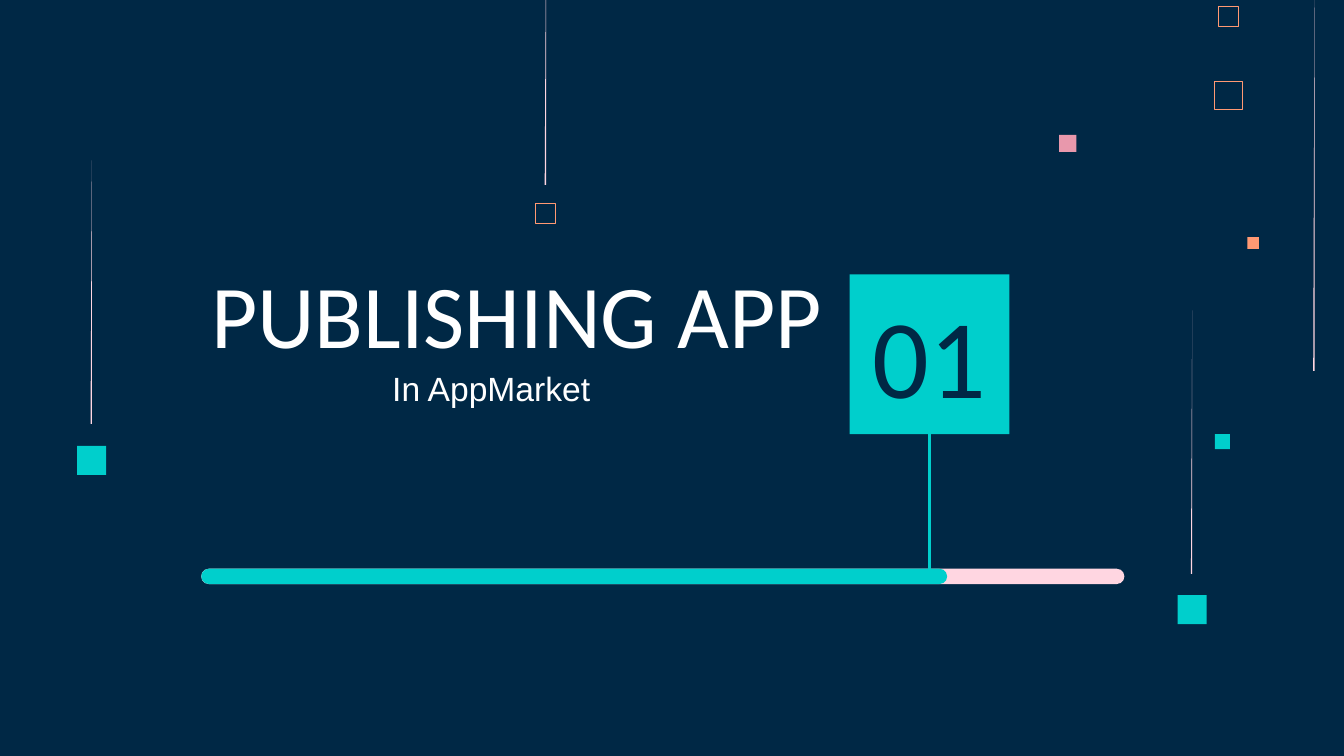
"""Build the section slide that opens the chapter on publishing an app."""
from dataclasses import dataclass

from lxml import etree
from pptx import Presentation
from pptx.dml.color import RGBColor
from pptx.enum.shapes import MSO_CONNECTOR, MSO_SHAPE
from pptx.enum.text import MSO_ANCHOR, MSO_AUTO_SIZE, PP_ALIGN
from pptx.oxml.ns import qn
from pptx.util import Pt

RECT = MSO_SHAPE.RECTANGLE
ROUNDED = MSO_SHAPE.ROUNDED_RECTANGLE
STRAIGHT = MSO_CONNECTOR.STRAIGHT
TOP, MIDDLE, BOTTOM = MSO_ANCHOR.TOP, MSO_ANCHOR.MIDDLE, MSO_ANCHOR.BOTTOM
NO_AUTOFIT = MSO_AUTO_SIZE.NONE
CENTER = PP_ALIGN.CENTER


@dataclass(frozen=True)
class Theme:
    """Colours, fonts and type sizes of the slide."""
    navy: str = "002845"
    teal: str = "00CFCC"
    orange: str = "FF9973"
    rose: str = "E898AC"
    pale_pink: str = "FFD6E1"
    white: str = "FFFFFF"
    heading_font: str = "Calibri"
    body_font: str = "Arial"
    number_size: float = 60
    title_size: float = 48
    subtitle_size: float = 18


@dataclass(frozen=True)
class Box:
    """A rectangle in points."""
    left: float
    top: float
    width: float
    height: float

    def emu(self):
        """Return the four lengths for python-pptx."""
        return Pt(self.left), Pt(self.top), Pt(self.width), Pt(self.height)


@dataclass(frozen=True)
class Square:
    """A decorative square, filled or, given a line width, outlined."""
    left: float
    top: float
    side: float
    color: str
    line_width: float = 0


@dataclass(frozen=True)
class Streak:
    """A thin vertical sliver that narrows to a point at its top."""
    left: float
    top: float
    height: float
    width: float = 0.7


T = Theme()
SLIDE_WIDTH, SLIDE_HEIGHT = 720, 405
TITLE_BOX = Box(88.6, 137.5, 376.6, 66.2)
SUBTITLE_BOX = Box(141.1, 190.1, 244.1, 82.8)
BADGE_BOX = Box(455.2, 147, 85.6, 85.6)
NUMBER_BOX = Box(459.4, 167, 77, 45.4)
TRACK_BOX = Box(107.8, 304.7, 494.6, 8.2)
PROGRESS_BOX = Box(107.8, 304.7, 399.6, 8.2)
STEM_BOTTOM = 309.6

SQUARES = [
    Square(567.4, 72.2, 9.2, T.rose),
    Square(650.9, 232.6, 8, T.teal),
    Square(650.6, 43.9, 14.8, T.orange, 0.45),
    Square(652.8, 3.4, 10.6, T.orange, 0.32),
    Square(668.2, 127.1, 6.3, T.orange),
    Square(287, 108.9, 10.6, T.orange, 0.32),
    Square(630.9, 318.9, 15.6, T.teal),
    Square(41.3, 238.9, 15.6, T.teal),
]
STREAKS = [
    Streak(291.8, -34.6, 133.6),
    Streak(703.5, 0, 198.7),
    Streak(638, 166.3, 141.2),
    Streak(48.5, 85.9, 141.2),
]


def paint(sp, fill: str = "", line: str = "", line_width: float = 0) -> None:
    """Set the fill and outline of a shape and drop its shadow."""
    sp.shadow.inherit = False
    if fill:
        sp.fill.solid()
        sp.fill.fore_color.rgb = RGBColor.from_string(fill)
    else:
        sp.fill.background()
    if line:
        sp.line.color.rgb = RGBColor.from_string(line)
        sp.line.width = Pt(line_width)
    else:
        sp.line.fill.background()


def add_box(s, box: Box, preset=RECT, **style):
    """Add a painted preset shape."""
    sp = s.shapes.add_shape(preset, *box.emu())
    paint(sp, **style)
    return sp


def add_square(s, sq: Square) -> None:
    """Add one decorative square."""
    box = Box(sq.left, sq.top, sq.side, sq.side)
    if sq.line_width:
        add_box(s, box, line=sq.color, line_width=sq.line_width)
    else:
        add_box(s, box, fill=sq.color)


def add_streak(s, streak: Streak) -> None:
    """Add one tapering vertical streak."""
    right, bottom = streak.left + streak.width, streak.top + streak.height
    builder = s.shapes.build_freeform(Pt(right), Pt(streak.top))
    builder.add_line_segments([(Pt(streak.left), Pt(bottom)), (Pt(right), Pt(bottom))])
    paint(builder.convert_to_shape(), fill=T.pale_pink)


def add_bar(s, box: Box, color: str) -> None:
    """Add a bar with fully rounded ends."""
    add_box(s, box, ROUNDED, fill=color).adjustments[0] = 0.5


def add_stem(s, badge) -> None:
    """Add the line from the badge down to the progress bar."""
    x = Pt(BADGE_BOX.left + BADGE_BOX.width / 2)
    line = s.shapes.add_connector(STRAIGHT, x, badge.top + badge.height, x, Pt(STEM_BOTTOM))
    line.begin_connect(badge, 2)
    line.line.color.rgb = RGBColor.from_string(T.teal)
    line.line.width = Pt(1.5)
    etree.SubElement(line._element.spPr, qn("a:effectLst"))


def write_text(sp, text: str, *, box: Box, font: str, size: float, color: str, anchor) -> None:
    """Place a text shape and write one centred paragraph in it."""
    sp.left, sp.top, sp.width, sp.height = box.emu()
    tf = sp.text_frame
    tf.word_wrap = True
    tf.auto_size = NO_AUTOFIT
    tf.vertical_anchor = anchor
    tf.margin_left = tf.margin_right = tf.margin_top = tf.margin_bottom = Pt(7.2)
    p = tf.paragraphs[0]
    p.alignment = CENTER
    p.space_before = Pt(0)
    r = p.add_run()
    r.text = text
    r.font.name = font
    r.font.size = Pt(size)
    r.font.color.rgb = RGBColor.from_string(color)


def main() -> None:
    """Build and save the slide."""
    prs = Presentation()
    prs.slide_width, prs.slide_height = Pt(SLIDE_WIDTH), Pt(SLIDE_HEIGHT)
    s = prs.slides.add_slide(prs.slide_layouts[0])
    s.background.fill.solid()
    s.background.fill.fore_color.rgb = RGBColor.from_string(T.navy)

    for square in SQUARES:
        add_square(s, square)
    for streak in STREAKS:
        add_streak(s, streak)

    write_text(s.shapes.title, "PUBLISHING APP", box=TITLE_BOX, font=T.heading_font,
               size=T.title_size, color=T.white, anchor=BOTTOM)
    write_text(s.placeholders[1], "In AppMarket", box=SUBTITLE_BOX, font=T.body_font,
               size=T.subtitle_size, color=T.white, anchor=TOP)
    badge = add_box(s, BADGE_BOX, fill=T.teal)
    write_text(s.shapes.add_textbox(*NUMBER_BOX.emu()), "01", box=NUMBER_BOX,
               font=T.heading_font, size=T.number_size, color=T.navy, anchor=MIDDLE)
    add_bar(s, TRACK_BOX, T.pale_pink)
    add_bar(s, PROGRESS_BOX, T.teal)
    add_stem(s, badge)
    prs.save("out.pptx")


if __name__ == "__main__":
    main()
